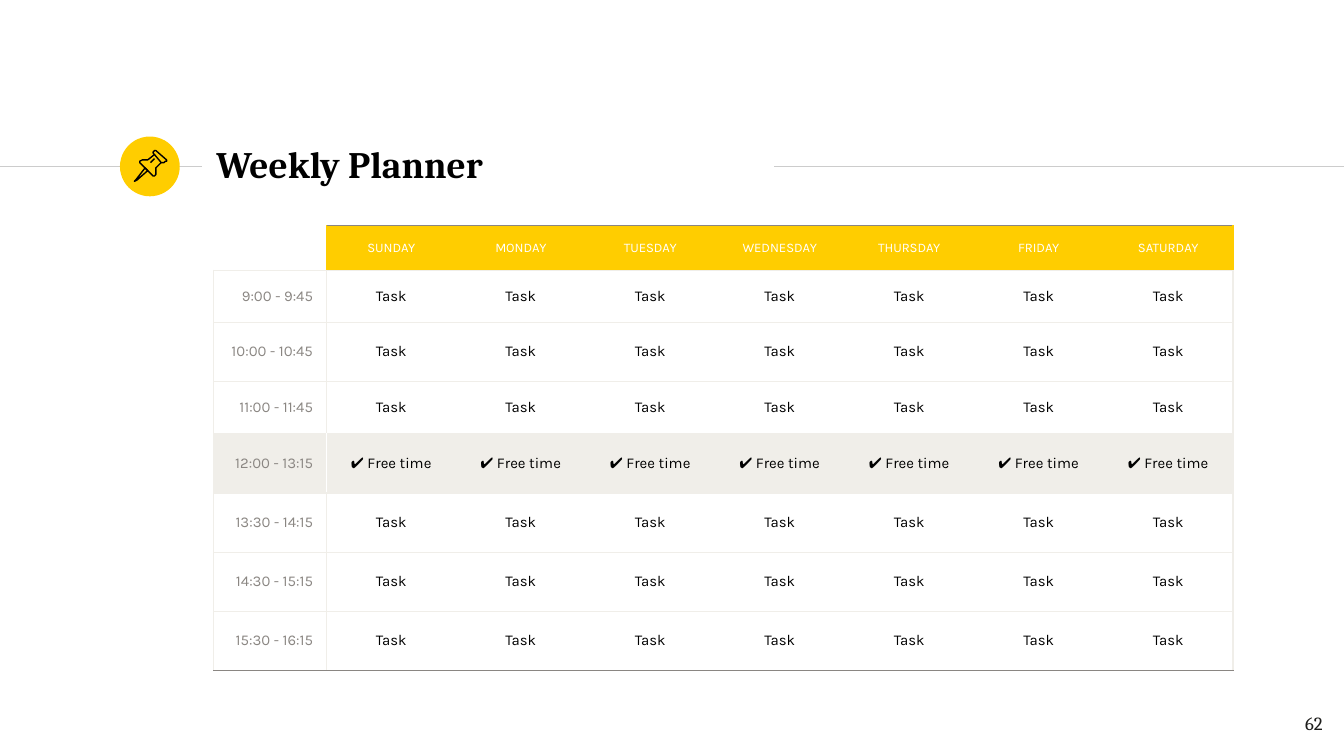
from lxml.etree import SubElement
from pptx import Presentation
from pptx.dml.color import RGBColor
from pptx.enum.shapes import MSO_CONNECTOR as Link, MSO_SHAPE as Form
from pptx.enum.text import MSO_ANCHOR as Anchor, MSO_AUTO_SIZE as Fit, PP_ALIGN as Align
from pptx.oxml import parse_xml
from pptx.oxml.ns import nsdecls, qn
from pptx.util import Inches, Pt

# The slide is a 16:9 grid, 1000 columns wide
COLS, ROWS = 1000, 562.5
CELL = Inches(0.01)

YELLOW, PALE, GREY = "FFCD00", "F0EEE9", "8A8682"
BLACK, WHITE, RULE = "000000", "FFFFFF", "CCCCCC"
SERIF, SANS = "Cambria", "Karla"

DAYS = ["SUNDAY", "MONDAY", "TUESDAY", "WEDNESDAY", "THURSDAY", "FRIDAY", "SATURDAY"]
TIMES = ["9:00 - 9:45", "10:00 - 10:45", "11:00 - 11:45", "12:00 - 13:15",
         "13:30 - 14:15", "14:30 - 15:15", "15:30 - 16:15"]
HEIGHTS = [33, 39, 44, 39, 44, 44, 44, 44]
FREE = 4  # row of the break

# Pin outlines in grid cells, each with whether it closes
PIN = [
    ([(108, 125), (101, 134), (100, 135), (102, 134), (110, 127)], True),
    ([(115, 115), (120, 121), (122, 121), (123, 120.5), (124, 120), (124, 119),
      (116, 112), (115, 112), (114, 113), (114, 114)], True),
    ([(115, 115), (110, 119), (108, 119), (106, 119), (104, 120), (104, 121),
      (114, 131), (115, 131), (116, 130), (116, 128), (116, 125), (120, 121)], False),
    ([(112, 121), (115, 118)], False),
]


def grid(*nums):
    return [int(n * CELL) for n in nums]


def color(code):
    return RGBColor.from_string(code)


def write(para, text, size, face, ink, align=Align.LEFT, bold=False):
    para.alignment = align
    run = para.add_run()
    run.text = text
    font = run.font
    font.size, font.name, font.bold = Pt(size), face, bold
    font.color.rgb = color(ink)


def pad(frame, anchor):
    frame.word_wrap = True
    frame.auto_size = Fit.NONE
    frame.vertical_anchor = anchor
    frame.margin_left = frame.margin_right = Inches(0.1)
    frame.margin_top = frame.margin_bottom = Inches(0.1)


def add_title(slide, text):
    title = slide.shapes.title
    title.left, title.top, title.width, title.height = grid(151, 98, 424, 48)
    pad(title.text_frame, Anchor.MIDDLE)
    write(title.text_frame.paragraphs[0], text, 20, SERIF, BLACK, bold=True)


def add_rule(slide, start, end, row):
    rule = slide.shapes.add_connector(Link.STRAIGHT, *grid(start, row, end, row))
    rule.line.color.rgb = color(RULE)
    rule.line.width = Pt(0.75)
    SubElement(rule._element.spPr, qn("a:effectLst"))


def add_disc(slide):
    disc = slide.shapes.add_shape(Form.OVAL, *grid(89.3, 101.6, 44.5, 44.5))
    disc.shadow.inherit = False
    disc.fill.solid()
    disc.fill.fore_color.rgb = color(YELLOW)
    disc.line.fill.background()


def add_pin(slide):
    group = slide.shapes.add_group_shape()
    for points, closed in PIN:
        pen = group.shapes.build_freeform(*points[0], scale=CELL)
        pen.add_line_segments(points[1:], close=closed)
        part = pen.convert_to_shape()
        part.shadow.inherit = False
        part.fill.background()
        part.line.color.rgb = color(BLACK)
        part.line.width = Pt(0.75)


def add_number(slide, text):
    box = slide.shapes.add_textbox(*grid(934, 519.5, 60, 43))
    pad(box.text_frame, Anchor.TOP)
    write(box.text_frame.paragraphs[0], text, 10, SERIF, "1D1D1B", Align.RIGHT)


def upright(row, edge):
    """Colour of the vertical border at an edge, counted from the left."""
    if 1 < edge <= len(DAYS):
        return None
    if row == 0:
        return YELLOW if edge else None
    return WHITE if (row, edge) == (FREE, 1) else PALE


def level(edge, col):
    """Colour of the horizontal border at an edge, counted from the top."""
    if edge == 0:
        return GREY if col else None
    return GREY if edge == len(HEIGHTS) else PALE


def set_edges(cell, row, col):
    sides = {"L": upright(row, col), "R": upright(row, col + 1),
             "T": level(row, col), "B": level(row + 1, col)}
    props = cell._tc.get_or_add_tcPr()
    for spot, (side, ink) in enumerate(sides.items()):
        fill = (f'<a:solidFill><a:srgbClr val="{ink}"/></a:solidFill>'
                if ink else "<a:noFill/>")
        props.insert(spot, parse_xml(
            f'<a:ln{side} {nsdecls("a")} w="{Pt(0.75)}">{fill}</a:ln{side}>'))


def fill_cell(cell, row, col):
    cell.margin_left = cell.margin_right = Inches(0.1)
    cell.margin_top = cell.margin_bottom = Inches(0.1)
    cell.vertical_anchor = Anchor.MIDDLE
    back = PALE if row == FREE else YELLOW if row == 0 and col else None
    if back:
        cell.fill.solid()
        cell.fill.fore_color.rgb = color(back)
    else:
        cell.fill.background()
    set_edges(cell, row, col)

    para = cell.text_frame.paragraphs[0]
    if row and col:
        text = "✔ Free time" if row == FREE else "Task"
        write(para, text, 8, SANS, BLACK, Align.CENTER)
    elif row:
        write(para, TIMES[row - 1], 8, SANS, GREY, Align.RIGHT)
    elif col:
        write(para, DAYS[col - 1], 7, SANS, WHITE, Align.CENTER)
    else:
        # Keep the blank corner from stretching its row
        SubElement(para._p, qn("a:endParaRPr")).set("sz", "700")


def add_plan(slide):
    first, wide = 84, 758.5
    frame = slide.shapes.add_table(len(HEIGHTS), len(DAYS) + 1,
                                   *grid(159, 168, wide, sum(HEIGHTS)))
    table = frame.table
    table.first_row = table.horz_banding = False
    for col, column in enumerate(table.columns):
        column.width = grid((wide - first) / len(DAYS) if col else first)[0]
    for row, high in enumerate(HEIGHTS):
        table.rows[row].height = grid(high)[0]
        for col in range(len(DAYS) + 1):
            fill_cell(table.cell(row, col), row, col)


def main():
    deck = Presentation()
    deck.slide_width, deck.slide_height = grid(COLS, ROWS)
    slide = deck.slides.add_slide(deck.slide_layouts[5])

    # Heading band
    add_rule(slide, 0, 150, 124)
    add_disc(slide)
    add_rule(slide, 576, COLS, 124)
    add_title(slide, "Weekly Planner")

    # Planner and page number
    add_number(slide, "62")
    add_plan(slide)
    add_pin(slide)
    deck.save("out.pptx")


if __name__ == "__main__":
    main()
